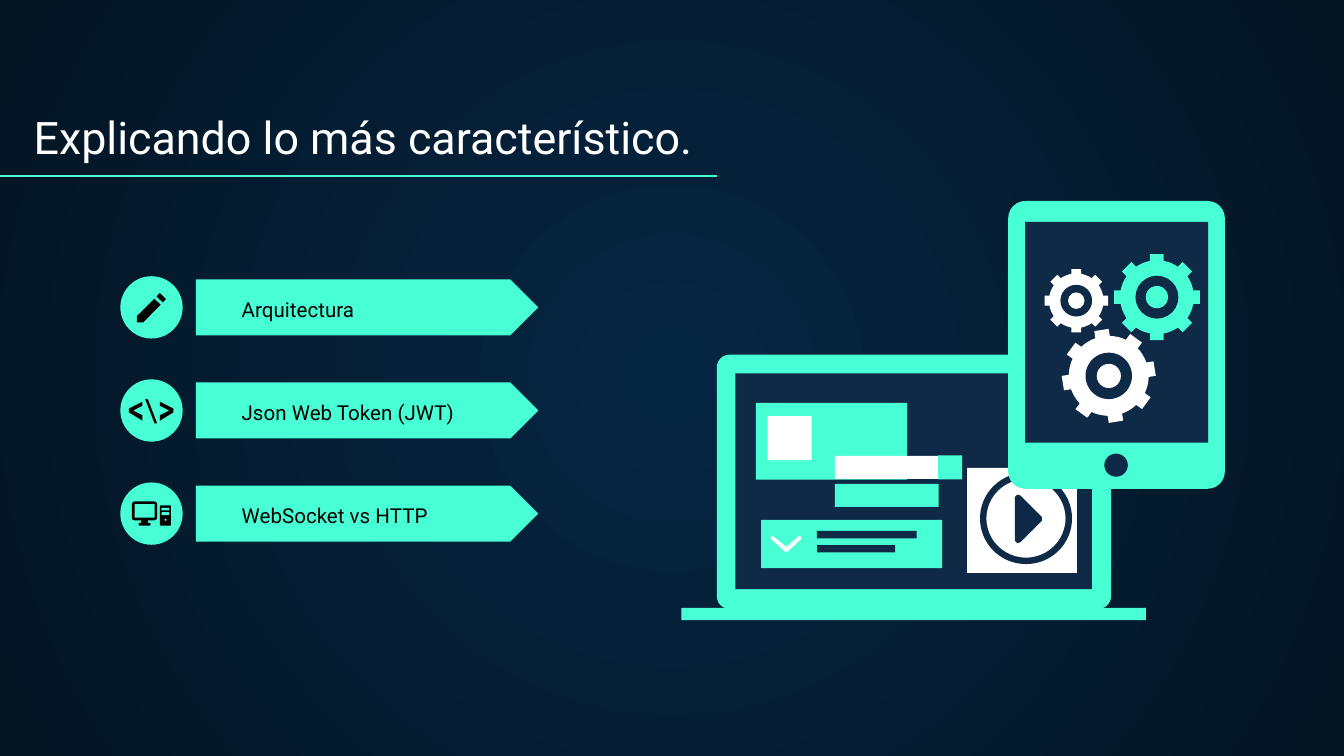
from dataclasses import dataclass
from math import asin, cos, pi, sin, sqrt

from lxml import etree
from pptx import Presentation
from pptx.dml.color import RGBColor
from pptx.enum.shapes import MSO_CONNECTOR, MSO_SHAPE
from pptx.enum.text import MSO_ANCHOR, MSO_AUTO_SIZE, PP_ALIGN
from pptx.oxml.ns import qn
from pptx.util import Pt

RECT = MSO_SHAPE.RECTANGLE
ROUND = MSO_SHAPE.ROUNDED_RECTANGLE
OVAL = MSO_SHAPE.OVAL
ARROW = MSO_SHAPE.PENTAGON
RING = MSO_SHAPE.DONUT
LINE = MSO_CONNECTOR.STRAIGHT
BOTTOM = MSO_ANCHOR.BOTTOM
LEFT = PP_ALIGN.LEFT
FIXED = MSO_AUTO_SIZE.NONE

FONT = "Roboto"
HEX = {
    "mint": "48FFD5", "navy": "0E2A47", "white": "FFFFFF", "black": "000000",
    "glow": "052643", "edge": "041523",
}
ROWS = ["Arquitectura", "Json Web Token (JWT)", "WebSocket vs HTTP"]
TOP, STEP = 149.7, 55.25
TEETH = 8

Point = tuple[float, float]


@dataclass
class Box:
    x: float
    y: float
    w: float
    h: float
    color: str
    kind: int = RECT
    adj: float | None = None


@dataclass
class Form:
    color: str
    loops: list[list[Point]]


@dataclass
class Gear:
    x: float
    y: float
    size: float
    color: str
    turn: float = 0


def paint(shape, color: str) -> None:
    shape.shadow.inherit = False
    shape.fill.solid()
    shape.fill.fore_color.rgb = RGBColor.from_string(HEX[color])
    shape.line.fill.background()


def draw_box(slide, box: Box) -> None:
    shape = slide.shapes.add_shape(
        box.kind, Pt(box.x), Pt(box.y), Pt(box.w), Pt(box.h))
    if box.adj is not None:
        shape.adjustments[0] = box.adj
    paint(shape, box.color)


def draw_form(slide, form: Form) -> None:
    first, *rest = [[(Pt(x), Pt(y)) for x, y in loop] for loop in form.loops]
    pen = slide.shapes.build_freeform(*first[0], scale=1.0)
    pen.add_line_segments(first[1:], close=True)
    for loop in rest:
        pen.move_to(*loop[0])
        pen.add_line_segments(loop[1:], close=True)
    paint(pen.convert_to_shape(), form.color)


def draw_gear(slide, gear: Gear) -> None:
    """Draw a toothed wheel with a dark ring and a hub."""
    body, half = 0.86 * gear.size, 0.157 * gear.size
    base, lean = sqrt(body ** 2 - half ** 2), asin(half / body)
    pitch = 2 * pi / TEETH
    rim = []
    for i in range(TEETH):
        turn = gear.turn * pi / 180 + i * pitch
        tooth = [(-half, base), (-half, gear.size), (half, gear.size), (half, base)]
        rim += [(gear.x + a * cos(turn) + r * sin(turn),
                 gear.y + a * sin(turn) - r * cos(turn)) for a, r in tooth]
        for share in (0.25, 0.5, 0.75):
            arc = turn + lean + share * (pitch - 2 * lean)
            rim.append((gear.x + body * sin(arc), gear.y - body * cos(arc)))
    draw_form(slide, Form(gear.color, [rim]))
    for ratio, color in ((0.5, "navy"), (0.26, gear.color)):
        r = ratio * gear.size
        draw_box(slide, Box(gear.x - r, gear.y - r, 2 * r, 2 * r, color, OVAL))


def write(shape, text: str, size: float, color: str) -> None:
    frame = shape.text_frame
    frame.auto_size = FIXED
    frame.word_wrap = True
    frame.vertical_anchor = BOTTOM
    frame.margin_left = frame.margin_right = Pt(7.2)
    frame.margin_top = frame.margin_bottom = Pt(7.2)
    line = frame.paragraphs[0]
    line.alignment = LEFT
    run = line.add_run()
    run.text = text
    run.font.name = FONT
    run.font.size = Pt(size)
    run.font.color.rgb = RGBColor.from_string(HEX[color])


def set_back(slide) -> None:
    """Fill the background with a glow from the centre."""
    fill = slide.background.fill
    fill.gradient()
    for stop, color in zip(fill.gradient_stops, ("glow", "edge")):
        stop.color.rgb = RGBColor.from_string(HEX[color])
    grad = slide.element.find(".//" + qn("a:gradFill"))
    grad.remove(grad.find(qn("a:lin")))
    glow = etree.SubElement(grad, qn("a:path"), {"path": "circle"})
    etree.SubElement(glow, qn("a:fillToRect"), dict.fromkeys("ltrb", "50000"))


def draw_rule(slide) -> None:
    rule = slide.shapes.add_connector(LINE, Pt(0), Pt(94.3), Pt(384), Pt(94.3))
    rule.line.color.rgb = RGBColor.from_string(HEX["mint"])
    rule.line.width = Pt(0.75)
    etree.SubElement(rule.element.spPr, qn("a:effectLst"))


ANGLE = [(76.3, 225.4), (69.1, 221), (69.1, 218.9), (76.3, 215.3),
         (76.3, 217.4), (71.3, 220), (76.3, 222.5)]
ICONS = [
    Form("black", [  # pencil
        [(83.9, 158.8), (85.3, 157.2), (86, 157.2), (88.7, 160), (88.7, 160.6),
         (87.2, 162)],
        [(82.7, 160.1), (73.4, 169.3), (73.4, 172.7), (76.8, 172.7), (86.1, 163.2)]]),
    Form("black", [ANGLE]),
    Form("black", [[(82.8, 226.8), (77.8, 213.8), (79.2, 213.8), (84.2, 226.8)]]),
    Form("black", [[(162 - x, y) for x, y in ANGLE]]),
]
DESKTOP = [
    Box(70.7, 268.7, 13.5, 10.1, "black", ROUND, 0.14),
    Box(72.1, 270.1, 10.7, 7.2, "mint"),
    Box(75.6, 278.6, 3.6, 1.7, "black"),
    Box(74.2, 280.1, 6.5, 1.5, "black", ROUND, 0.5),
    Box(85.7, 270.7, 5.9, 10.9, "black", ROUND, 0.12),
    Box(86.5, 272.1, 4.3, 1.4, "mint", ROUND, 0.4),
    Box(86.5, 274.4, 4.3, 1.6, "mint", ROUND, 0.4),
    Box(88.1, 277.9, 1.1, 1.1, "mint", OVAL),
]
LAPTOP = [
    Box(384, 190, 211.2, 136.2, "mint", ROUND, 0.05),
    Box(394, 200, 191, 115.6, "navy"),
    Box(365, 325.7, 249, 6.6, "mint"),
    Box(405, 215.9, 81, 41.1, "mint"),
    Box(411.2, 222.9, 23.6, 23.6, "white"),
    Box(407.7, 278.6, 97, 25.8, "mint"),
    Box(437.7, 284.4, 53.4, 4, "navy"),
    Box(437.7, 292, 41.8, 4, "navy"),
    Box(447.3, 259.3, 55.6, 12.3, "mint"),
    Box(447.3, 244.3, 55.6, 12.3, "white"),
    Box(502.6, 243.9, 12.9, 12.9, "mint"),
    Box(518.1, 250.7, 58.9, 56.2, "white"),
    Box(525, 253.3, 49.3, 48.9, "navy", RING, 0.07),
]
MARKS = [
    Form("white", [[  # tick
        (412.9, 287.8), (414.1, 287.2), (421.2, 293), (428, 287.2), (429.2, 287.6),
        (429.3, 288.7), (421.9, 295.6), (420.5, 295.6), (413, 288.7)]]),
    Form("navy", [[  # play
        (543.7, 266.3), (545, 265), (546.6, 265.4), (558.2, 277), (558.2, 279),
        (546.6, 290.5), (545, 291), (543.7, 289.7)]]),
]
TABLET = [
    Box(540.1, 107.7, 116.1, 154.2, "mint", ROUND, 0.08),
    Box(549.2, 118.8, 98, 118.4, "navy"),
    Box(591.6, 243, 12.6, 12.4, "navy", OVAL),
]
GEARS = [
    Gear(619.8, 159.2, 23, "mint"),
    Gear(576.6, 161.1, 17, "white"),
    Gear(594, 201.4, 24.9, "white", -9),
]


def main() -> None:
    deck = Presentation()
    deck.slide_width, deck.slide_height = Pt(720), Pt(405)
    slide = deck.slides.add_slide(deck.slide_layouts[5])
    set_back(slide)

    title = slide.shapes.title
    title.left, title.top, title.width, title.height = Pt(10.8), Pt(52), Pt(617), Pt(43)
    write(title, "Explicando lo más característico.", 24, "white")
    draw_rule(slide)

    for i, text in enumerate(ROWS):
        y = TOP + i * STEP
        draw_box(slide, Box(105, y, 183.4, 30, "mint", ARROW, 0.5))
        draw_box(slide, Box(64.5, y - 1.7, 33.4, 33.4, "mint", OVAL))
        label = slide.shapes.add_textbox(Pt(122.4), Pt(y + 14.5), Pt(163.4), Pt(15.1))
        write(label, text, 11, "black")

    for form in ICONS:
        draw_form(slide, form)
    for box in DESKTOP + LAPTOP:
        draw_box(slide, box)
    for form in MARKS:
        draw_form(slide, form)
    for box in TABLET:
        draw_box(slide, box)
    for gear in GEARS:
        draw_gear(slide, gear)
    deck.save("out.pptx")


if __name__ == "__main__":
    main()
